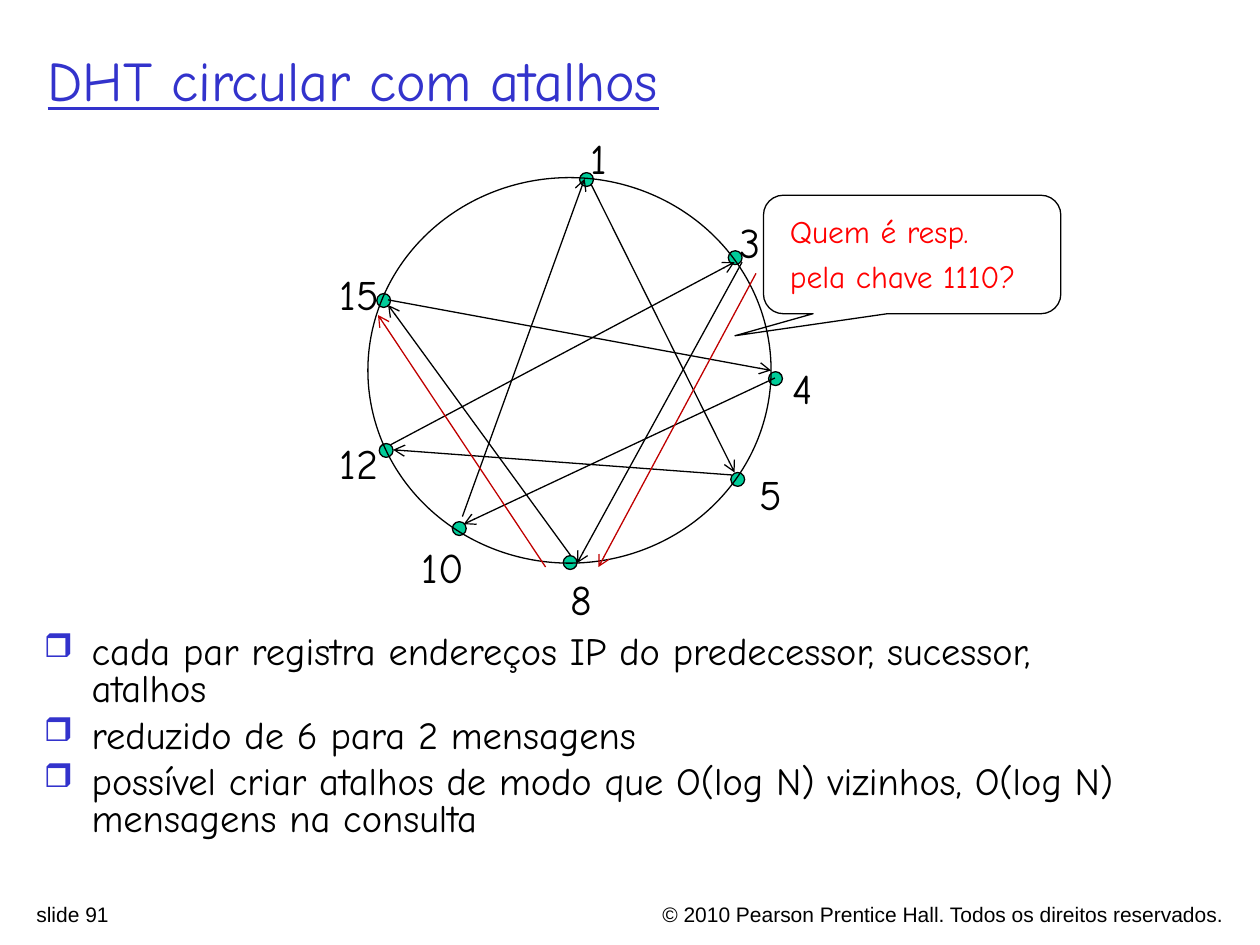
from lxml import etree
from pptx import Presentation
from pptx.dml.color import RGBColor
from pptx.enum import shapes, text
from pptx.oxml import ns
from pptx.util import Inches, Pt

COLORS = {"ink": "000000", "blue": "3333CC", "node": "00CC99",
          "query": "C00000", "question": "FF0000"}
HAND = "Comic Neue"
DOT = 0.11

# Offsets from the ring's top left corner: peer -> (dot, label, label width)
PEERS = {
    "1": ((1.68, -0.04), (1.67, -0.41), 0.33),
    "3": ((2.86, 0.58), (2.85, 0.26), 0.37),
    "4": ((3.18, 1.54), (3.27, 1.42), 0.36),
    "5": ((2.88, 2.34), (3.01, 2.26), 0.38),
    "8": ((1.55, 3.0), (1.51, 3.09), 0.37),
    "10": ((0.67, 2.73), (0.33, 2.84), 0.55),
    "12": ((0.09, 2.11), (-0.32, 2.01), 0.53),
    "15": ((0.07, 0.92), (-0.32, 0.67), 0.53),
}
SHORTCUTS = [
    ((3.23, 1.59), (0.76, 2.75)),
    ((2.89, 2.36), (0.2, 2.16)),
    ((1.61, 3.0), (0.16, 1.01)),
    ((0.75, 2.69), (1.72, 0.01)),
    ((0.18, 2.12), (2.91, 0.67)),
    ((0.16, 0.97), (3.2, 1.53)),
    ((1.77, 0.05), (2.91, 2.34)),
    ((2.97, 0.67), (1.66, 3.06)),
]
QUERY_HOPS = [((3.08, 0.76), (1.83, 3.09)), ((1.41, 3.09), (0.08, 1.09))]
BULLETS = [
    "cada par registra endereços IP do predecessor, sucessor, atalhos",
    "reduzido de 6 para 2 mensagens",
    "possível criar atalhos de modo que O(log N) vizinhos, O(log N) mensagens na consulta",
]


def rgb(name):
    return RGBColor.from_string(COLORS[name])


def add_bullet(paragraph):
    properties = paragraph._p.get_or_add_pPr()
    properties.set("marL", str(Inches(0.38)))
    properties.set("indent", str(-Inches(0.38)))
    color = etree.SubElement(properties, ns.qn("a:buClr"))
    etree.SubElement(color, ns.qn("a:srgbClr"), val=COLORS["blue"])
    etree.SubElement(properties, ns.qn("a:buSzPct"), val="85000")
    etree.SubElement(properties, ns.qn("a:buChar"), char="❒")


def add_text(slide, box, lines, size, color="ink", font=HAND, underline=None,
             align=text.PP_ALIGN.LEFT, anchor=text.MSO_ANCHOR.TOP,
             before=0, spacing=None, bullets=False, wrap=True):
    shape = slide.shapes.add_textbox(*map(Inches, box))
    frame = shape.text_frame
    frame.word_wrap = wrap
    if not wrap:
        frame.auto_size = text.MSO_AUTO_SIZE.SHAPE_TO_FIT_TEXT
    frame.vertical_anchor = anchor
    for index, line in enumerate(lines):
        paragraph = frame.add_paragraph() if index else frame.paragraphs[0]
        if bullets:
            add_bullet(paragraph)
        paragraph.alignment = align
        if spacing:
            paragraph.line_spacing = spacing
        if index:
            paragraph.space_before = Pt(before)
        run = paragraph.add_run()
        run.text = line
        run.font.name = font
        run.font.size = Pt(size)
        run.font.underline = underline
        run.font.color.rgb = rgb(color)
    return shape


def add_outlined(slide, kind, box, fill=None):
    shape = slide.shapes.add_shape(kind, *map(Inches, box))
    shape.shadow.inherit = False
    if fill:
        shape.fill.solid()
        shape.fill.fore_color.rgb = rgb(fill)
    else:
        shape.fill.background()
    shape.line.color.rgb = rgb("ink")
    shape.line.width = Pt(0.75)
    return shape


def add_arrow(slide, start, end, color):
    connector = slide.shapes.add_connector(
        shapes.MSO_CONNECTOR.STRAIGHT, *map(Inches, (*start, *end)))
    connector.line.color.rgb = rgb(color)
    connector.line.width = Pt(0.75)
    etree.SubElement(connector.line._get_or_add_ln(), ns.qn("a:tailEnd"), type="arrow")
    etree.SubElement(connector._element.spPr, ns.qn("a:effectLst"))


def add_ring(slide, box):
    left, top = box[:2]

    def place(offset):
        return left + offset[0], top + offset[1]

    for dot, _, _ in PEERS.values():
        add_outlined(slide, shapes.MSO_SHAPE.OVAL, (*place(dot), DOT, DOT), "node")
    add_outlined(slide, shapes.MSO_SHAPE.OVAL, box)
    for peer, (_, label, width) in PEERS.items():
        add_text(slide, (*place(label), width, 0.5), [peer], 24, wrap=False)
    for arrows, color in ((SHORTCUTS, "ink"), (QUERY_HOPS, "query")):
        for start, end in arrows:
            add_arrow(slide, place(start), place(end), color)


def add_question(slide, box):
    left, top, width, _ = box
    callout = add_outlined(slide, shapes.MSO_SHAPE.ROUNDED_RECTANGULAR_CALLOUT, box)
    for index, value in enumerate((-0.596, 0.686, 0.167)):
        callout.adjustments[index] = value
    add_text(slide, (left + 0.11, top + 0.08, width, 0.77),
             ["Quem é resp.", "pela chave 1110?"], 18, "question", before=4.5)


def add_footer(slide, box):
    left, top, width, height = box
    notice_width = 5.11
    add_text(slide, (left, top, 3.52, height), ["slide 91"], 12, font="Arial")
    add_text(slide, (left + width - notice_width, top, notice_width, height),
             ["© 2010 Pearson Prentice Hall. Todos os direitos reservados."],
             12, font="Arial", align=text.PP_ALIGN.RIGHT)


def main():
    presentation = Presentation()
    presentation.slide_width = Inches(10)
    presentation.slide_height = Inches(7.5)
    slide = presentation.slides.add_slide(presentation.slide_layouts[6])
    add_footer(slide, (0.19, 7.11, 9.62, 0.24))
    add_text(slide, (0.28, 0, 9, 1.25), ["DHT circular com atalhos"], 32, "blue",
             underline=True, anchor=text.MSO_ANCHOR.MIDDLE)
    add_text(slide, (0.25, 5, 9, 1.83), BULLETS, 22,
             before=5.5, spacing=0.8, bullets=True)
    add_ring(slide, (2.92, 1.41, 3.2, 3.06))
    add_question(slide, (6.06, 1.55, 2.36, 0.94))
    presentation.save("out.pptx")


if __name__ == "__main__":
    main()
